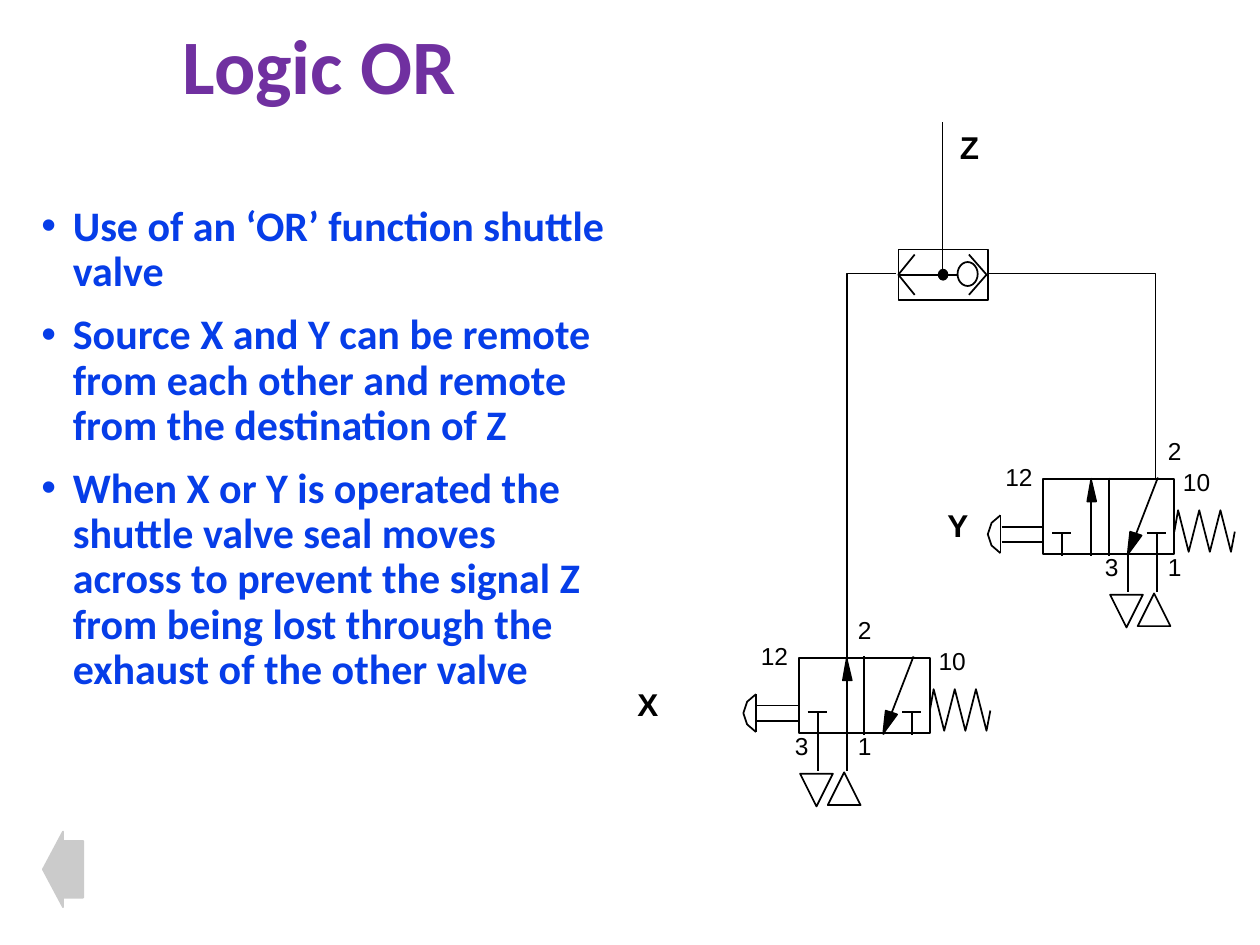
import pptx
import pptx.dml.color
import pptx.enum.shapes
import pptx.enum.text
import pptx.oxml
import pptx.oxml.ns
import pptx.util
from pptx.util import Inches

SHAPES = pptx.enum.shapes.MSO_SHAPE
BLACK = "000000"
BLUE = "063DE8"
TITLE_FONT = {"name": "Calibri", "size": pptx.util.Pt(44), "bold": True}
BODY_FONT = {"name": "Calibri", "size": pptx.util.Pt(24), "bold": True}
SIGNAL_FONT = {"name": "Arial", "size": pptx.util.Pt(18), "bold": True}
PORT_FONT = {"name": "Arial", "size": pptx.util.Pt(14), "bold": False}


def color(value):
    return pptx.dml.color.RGBColor.from_string(value)


def apply_format(target, values):
    for name, value in values.items():
        setattr(target, name, value)


class CircuitSlide:
    line_width = pptx.util.Pt(1)

    def __init__(self, presentation):
        self.slide = presentation.slides.add_slide(presentation.slide_layouts[5])
        self.shapes = self.slide.shapes

    def add_text(self, paragraph, text, font_format, font_color):
        run = paragraph.add_run()
        run.text = text
        apply_format(run.font, font_format)
        run.font.color.rgb = color(font_color)

    def title(self, text, left, top, width, height):
        shape = self.shapes.title
        apply_format(shape, {"left": Inches(left), "top": Inches(top),
                             "width": Inches(width), "height": Inches(height)})
        apply_format(shape.text_frame, {
            "auto_size": pptx.enum.text.MSO_AUTO_SIZE.NONE,
            "vertical_anchor": pptx.enum.text.MSO_ANCHOR.MIDDLE})
        paragraph = shape.text_frame.paragraphs[0]
        apply_format(paragraph, {"alignment": pptx.enum.text.PP_ALIGN.LEFT, "line_spacing": 0.9})
        self.add_text(paragraph, text, TITLE_FONT, "7030A0")

    def bullets(self, texts, left, top, width, height):
        frame = self.shapes.add_textbox(*map(Inches, (left, top, width, height))).text_frame
        frame.word_wrap = True
        for index, text in enumerate(texts):
            paragraph = frame.add_paragraph() if index else frame.paragraphs[0]
            properties = paragraph._p.get_or_add_pPr()
            properties.set("marL", str(Inches(0.25)))
            properties.set("indent", str(-Inches(0.25)))
            namespace = pptx.oxml.ns.nsdecls("a")
            for xml in (f'<a:buClr {namespace}><a:srgbClr val="{BLUE}"/></a:buClr>',
                        f'<a:buFont {namespace} typeface="Arial"/>',
                        f'<a:buChar {namespace} char="•"/>'):
                properties.append(pptx.oxml.parse_xml(xml))
            paragraph.line_spacing = 0.9
            paragraph.space_before = pptx.util.Pt(10 if index else 0)
            self.add_text(paragraph, text, BODY_FONT, BLUE)

    def label(self, text, left, top, font_format=PORT_FONT):
        width, height = (0.37, 0.4) if font_format is SIGNAL_FONT else (0.2 + 0.11 * len(text), 0.33)
        frame = self.shapes.add_textbox(*map(Inches, (left, top, width, height))).text_frame
        frame.word_wrap = False
        self.add_text(frame.paragraphs[0], text, font_format, BLACK)

    def line(self, x1, y1, x2, y2):
        connector = self.shapes.add_connector(
            pptx.enum.shapes.MSO_CONNECTOR.STRAIGHT, *map(Inches, (x1, y1, x2, y2)))
        connector.line.color.rgb = color(BLACK)
        connector.line.width = self.line_width
        effects = f'<a:effectLst {pptx.oxml.ns.nsdecls("a")}/>'
        connector._element.spPr.append(pptx.oxml.parse_xml(effects))

    def finish(self, shape, fill, outline):
        shape.shadow.inherit = False
        if fill:
            shape.fill.solid()
            shape.fill.fore_color.rgb = color(fill)
        else:
            shape.fill.background()
        shape.line.color.rgb = color(outline)
        shape.line.width = self.line_width

    def shape(self, kind, left, top, width, height, fill=None, outline=BLACK, rotation=0):
        shape = self.shapes.add_shape(kind, *map(Inches, (left, top, width, height)))
        shape.rotation = rotation
        self.finish(shape, fill, outline)
        return shape

    def outline(self, points, fill=None, close=False):
        corners = [(Inches(x), Inches(y)) for x, y in points]
        builder = self.shapes.build_freeform(*corners[0])
        builder.add_line_segments(corners[1:], close=close)
        self.finish(builder.convert_to_shape(), fill, BLACK)

    def valve(self, left, top, port):
        def moved(points):
            return [(left + x, top + y) for x, y in points]

        for x in (0.15, 0.9):
            self.line(left + x, top + 0.43, left + x, top + 0.61)
            self.line(left + x - 0.08, top + 0.43, left + x + 0.07, top + 0.43)
        self.outline(moved([(0.38, 0.01), (0.35, 0.18), (0.42, 0.18)]), BLACK, True)
        self.outline(moved([(0.67, 0.6), (0.69, 0.42), (0.78, 0.45)]), BLACK, True)
        self.shape(SHAPES.RECTANGLE, left, top, 1.04, 0.6)
        for x1, x2 in ((0.52, 0.52), (0.91, 0.67), (0.38, 0.38)):
            self.line(left + x1, top - 0.01, left + x2, top + 0.61)

        port_left = left + port
        for x in (0, 0.23):
            self.line(port_left + x, top + 0.6, port_left + x, top + 0.9)
        self.shape(SHAPES.ISOSCELES_TRIANGLE, port_left + 0.08, top + 0.91, 0.26, 0.26)
        self.shape(SHAPES.ISOSCELES_TRIANGLE, port_left - 0.14, top + 0.92, 0.26, 0.26, rotation=180)

        zigzag = [(1.07 + 0.084 * i, 0.25 if i % 2 == 0 else 0.58) for i in range(6)]
        self.outline(moved([(1.04, 0.42), *zigzag, (1.52, 0.42)]))
        self.line(left - 0.34, top + 0.29, left - 0.34, top + 0.59)
        self.outline(moved([(-0.34, 0.29), (-0.41, 0.35), (-0.44, 0.44), (-0.41, 0.53), (-0.34, 0.59)]))
        for y in (0.38, 0.5):
            self.line(left - 0.33, top + y, left, top + y)

        self.label("1", port_left + 0.22, top + 0.53)
        self.label("2", port_left + 0.22, top - 0.39)
        self.label("3", port_left - 0.28, top + 0.53)
        self.label("12", left - 0.4, top - 0.18)
        self.label("10", left + 1.01, top - 0.14)

    def shuttle_valve(self, left, top):
        middle = top + 0.2
        self.line(left + 0.35, middle, left + 0.35, 0.97)
        self.shape(SHAPES.RECTANGLE, left, top, 0.71, 0.4)
        self.line(left, middle, left + 0.47, middle)
        self.shape(SHAPES.OVAL, left + 0.32, middle - 0.04, 0.07, 0.08, BLACK)
        self.shape(SHAPES.OVAL, left + 0.47, middle - 0.1, 0.16, 0.19)
        for tip, back in ((0, 0.13), (0.7, 0.56)):
            self.outline([(left + back, middle - 0.16), (left + tip, middle),
                          (left + back, middle + 0.16)])


def main():
    presentation = pptx.Presentation()
    presentation.slide_width = Inches(10)
    presentation.slide_height = Inches(7.5)
    circuit = CircuitSlide(presentation)
    circuit.title("Logic OR", 1.35, 0.15, 7.47, 0.81)
    circuit.bullets([
        "Use of an ‘OR’ function shuttle valve",
        "Source X and Y can be remote from each other and remote from the destination of Z",
        "When X or Y is operated the shuttle valve seal moves across to prevent the signal Z "
        "from being lost through the exhaust of the other valve",
    ], 0.23, 1.58, 4.69, 4.92)
    for text, left, top in (("X", 4.96, 5.39), ("Y", 7.42, 3.97), ("Z", 7.52, 0.97)):
        circuit.label(text, left, top, SIGNAL_FONT)
    circuit.valve(8.28, 3.8, 0.67)
    circuit.valve(6.34, 5.22, 0.15)
    circuit.shuttle_valve(7.13, 1.98)
    circuit.outline([(6.72, 5.22), (6.72, 2.17), (7.11, 2.17)])
    circuit.outline([(7.83, 2.17), (9.17, 2.17), (9.17, 3.8)])
    arrow = circuit.shape(SHAPES.LEFT_ARROW, 0.34, 6.6, 0.32, 0.6, "CBCBCB", "CBCBCB")
    arrow.adjustments[0] = 0.75
    presentation.save("out.pptx")


if __name__ == "__main__":
    main()
